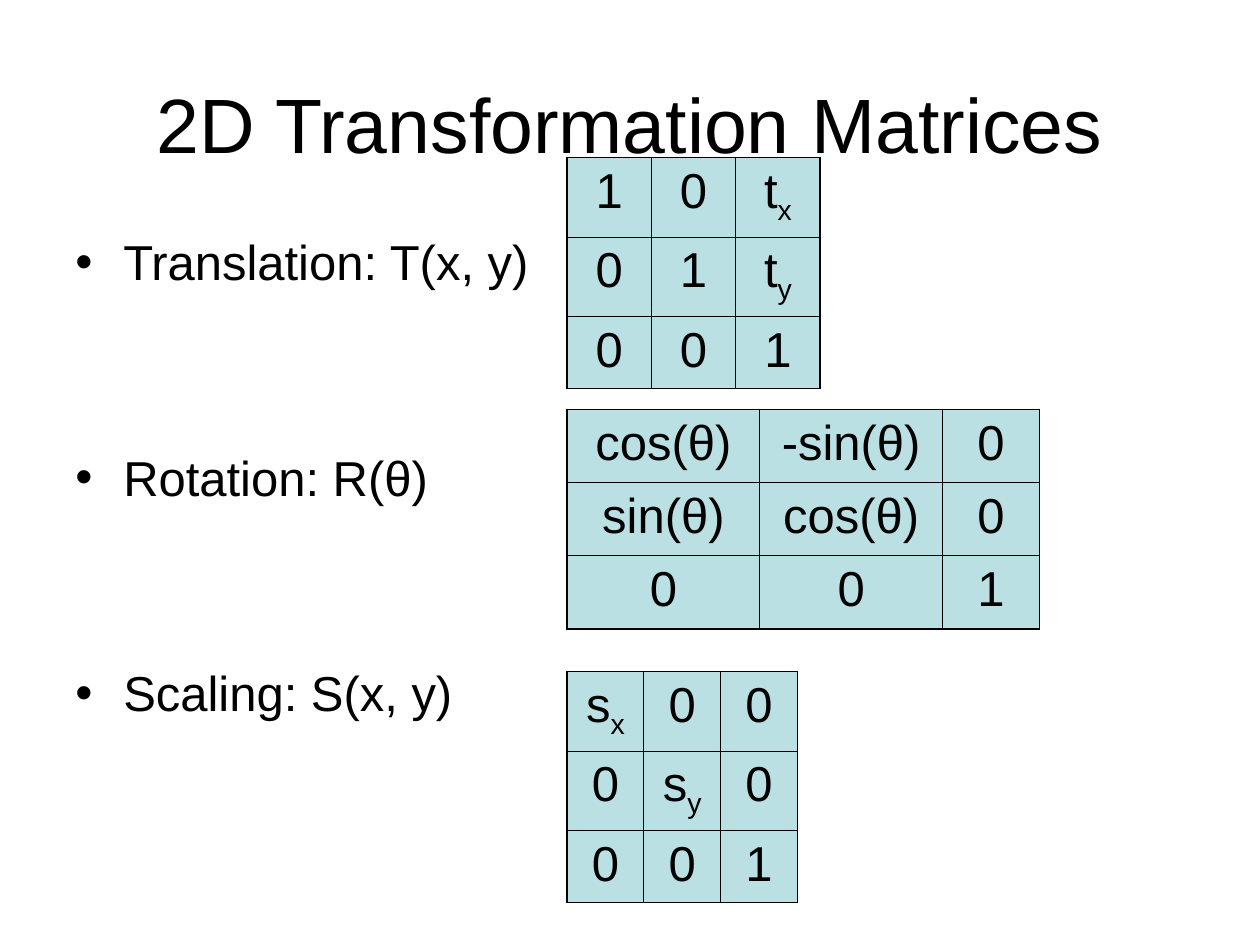
"""Build a slide of 2D transformation matrices for translation, rotation and scaling."""
from dataclasses import dataclass

from lxml.etree import SubElement
from pptx import Presentation
from pptx.dml.color import RGBColor
from pptx.enum.text import MSO_ANCHOR, MSO_AUTO_SIZE, PP_ALIGN
from pptx.oxml.ns import qn
from pptx.util import Inches, Pt

COLORS = {"ink": "000000", "cell": "BBE0E3"}
FONT = "Arial"
OUTER, INNER = Pt(1.08), Pt(0.45)
MATRIX_LEFT = 4.5


@dataclass
class Matrix:
    top: float
    widths: list[float]
    heights: list[float]
    rows: list[str]


MATRICES = [
    Matrix(1.25, [0.67] * 3, [0.63, 0.63, 0.57], ["1 0 t_x", "0 1 t_y", "0 0 1"]),
    Matrix(3.25, [1.53, 1.45, 0.77], [0.58] * 3,
           ["cos(θ) -sin(θ) 0", "sin(θ) cos(θ) 0", "0 0 1"]),
    Matrix(5.33, [0.61] * 3, [0.63, 0.63, 0.57], ["s_x 0 0", "0 s_y 0", "0 0 1"]),
]
TRANSFORMS = ["Translation: T(x, y)", "Rotation: R(θ)", "Scaling: S(x, y)"]


def add_run(paragraph, text: str, size: float, subscript: bool = False) -> None:
    run = paragraph.add_run()
    run.text = text
    run.font.size = Pt(size)
    run.font.name = FONT
    run.font.color.rgb = RGBColor.from_string(COLORS["ink"])
    if subscript:
        run._r.get_or_add_rPr().set("baseline", "-25000")


def add_border(cell, side: str, width: int) -> None:
    line = SubElement(cell._tc.get_or_add_tcPr(), qn(f"a:ln{side}"), w=str(int(width)))
    fill = SubElement(line, qn("a:solidFill"))
    SubElement(fill, qn("a:srgbClr"), val=COLORS["ink"])


def add_matrix(slide, matrix: Matrix) -> None:
    table = slide.shapes.add_table(
        len(matrix.heights), len(matrix.widths), Inches(MATRIX_LEFT), Inches(matrix.top),
        Inches(sum(matrix.widths)), Inches(sum(matrix.heights))).table
    table.first_row = table.horz_banding = False
    for column, width in zip(table.columns, matrix.widths):
        column.width = Inches(width)
    last_row, last_col = len(matrix.heights) - 1, len(matrix.widths) - 1
    for r, entries in enumerate(matrix.rows):
        table.rows[r].height = Inches(matrix.heights[r])
        for c, entry in enumerate(entries.split()):
            cell = table.cell(r, c)
            outer_sides = {"L": c == 0, "R": c == last_col, "T": r == 0, "B": r == last_row}
            for side, is_outer in outer_sides.items():
                add_border(cell, side, OUTER if is_outer else INNER)
            cell.fill.solid()
            cell.fill.fore_color.rgb = RGBColor.from_string(COLORS["cell"])
            paragraph = cell.text_frame.paragraphs[0]
            paragraph.alignment = PP_ALIGN.CENTER
            symbol, _, index = entry.partition("_")
            add_run(paragraph, symbol, 28)
            if index:
                add_run(paragraph, index, 28, subscript=True)


def add_title(slide, text: str) -> None:
    title = slide.shapes.title
    title.left, title.top = Inches(0.5), Inches(0.3)
    title.width, title.height = Inches(9), Inches(1.25)
    frame = title.text_frame
    frame.auto_size = MSO_AUTO_SIZE.NONE
    frame.vertical_anchor = MSO_ANCHOR.MIDDLE
    frame.margin_top = Inches(0.14)
    frame.paragraphs[0].alignment = PP_ALIGN.CENTER
    add_run(frame.paragraphs[0], text, 44)


def add_transform_list(slide, transforms: list[str]) -> None:
    frame = slide.shapes.add_textbox(
        Inches(0.5), Inches(1.75), Inches(4.42), Inches(4.95)).text_frame
    frame.word_wrap = True
    frame.margin_top = Inches(0.09)
    for position, transform in enumerate(transforms):
        paragraph = frame.add_paragraph() if position else frame.paragraphs[0]
        properties = paragraph._p.get_or_add_pPr()
        properties.set("marL", str(Inches(0.38)))
        properties.set("indent", str(-Inches(0.38)))
        SubElement(properties, qn("a:buFont"), typeface=FONT)
        SubElement(properties, qn("a:buChar"), char="•")
        if position:
            paragraph.space_before = Pt(89.5)
        add_run(paragraph, transform, 28)


def main() -> None:
    presentation = Presentation()
    presentation.slide_width, presentation.slide_height = Inches(10), Inches(7.5)
    slide = presentation.slides.add_slide(presentation.slide_layouts[5])
    add_title(slide, "2D Transformation Matrices")
    add_transform_list(slide, TRANSFORMS)
    for matrix in MATRICES:
        add_matrix(slide, matrix)
    presentation.save("out.pptx")


if __name__ == "__main__":
    main()
